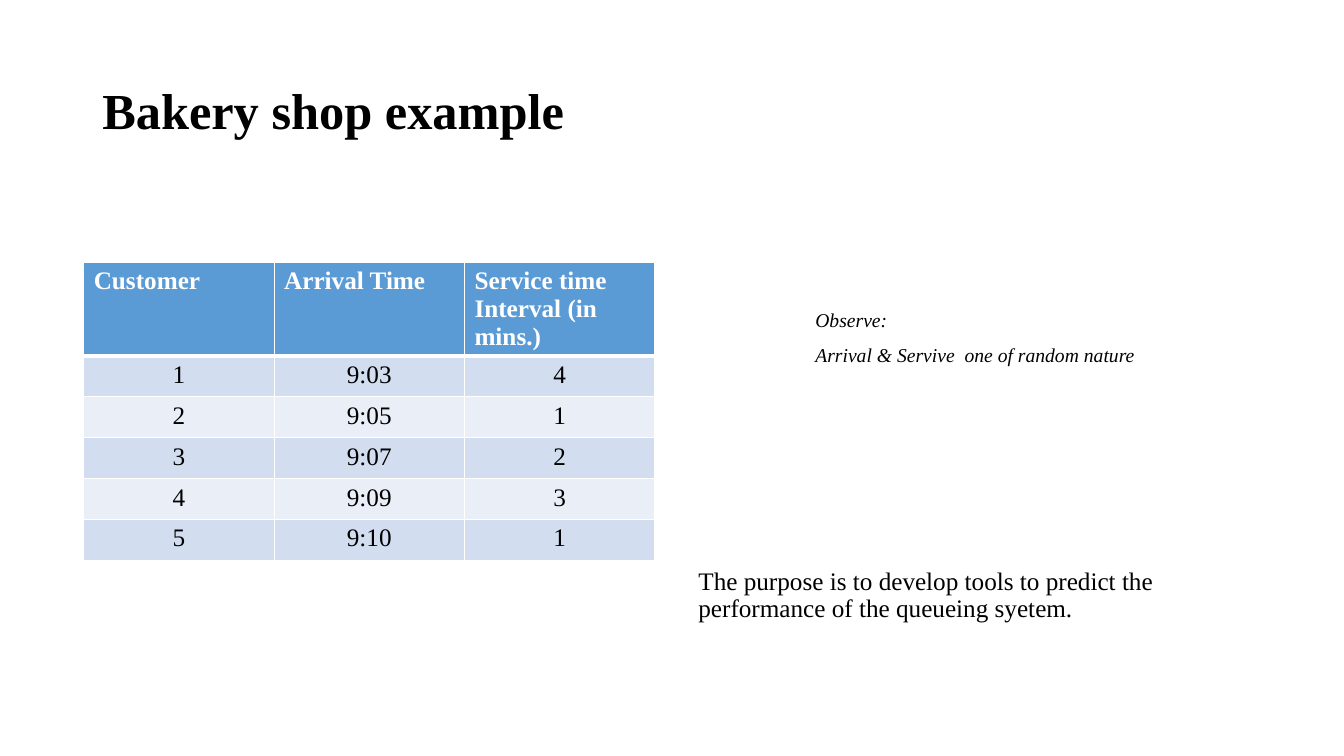
from dataclasses import dataclass

from lxml.etree import SubElement
from pptx import Presentation
from pptx.dml.color import RGBColor
from pptx.enum.text import MSO_ANCHOR, PP_ALIGN
from pptx.oxml.ns import qn
from pptx.slide import Slide
from pptx.table import _Cell
from pptx.text.text import _Paragraph
from pptx.util import Pt


@dataclass(frozen=True)
class Theme:
    font: str = "Times New Roman"
    text: str = "000000"
    white: str = "FFFFFF"
    header: str = "5B9BD5"
    bands: tuple[str, str] = ("D2DEEF", "EAEFF7")
    title_size: float = 36
    body_size: float = 18
    remark_size: float = 14
    thin_border: float = 1
    header_border: float = 3


@dataclass(frozen=True)
class TextBlock:
    paragraphs: tuple[str, ...]
    left: float
    top: float
    width: float
    height: float
    size: float
    bold: bool = False
    italic: bool = False
    anchor: MSO_ANCHOR = MSO_ANCHOR.TOP


THEME = Theme()

TEXT_BLOCKS = (
    TextBlock(("Bakery shop example",), 66, 28.8, 828, 104.4,
              THEME.title_size, bold=True, anchor=MSO_ANCHOR.MIDDLE),
    TextBlock(("Observe:", "Arrival & Servive  one of random nature"),
              575.3, 218.2, 252.7, 127.4, THEME.remark_size, italic=True),
    TextBlock(("The purpose is to develop tools to predict the "
               "performance of the queueing syetem.",),
              491.8, 402.5, 408.2, 127.4, THEME.body_size),
)

CUSTOMERS = (
    ("Customer", "Arrival Time", "Service time Interval (in mins.)"),
    ("1", "9:03", "4"),
    ("2", "9:05", "1"),
    ("3", "9:07", "2"),
    ("4", "9:09", "3"),
    ("5", "9:10", "1"),
)
TABLE_LEFT, TABLE_TOP = 59.8, 187.2
COLUMN_WIDTH, HEADER_HEIGHT, ROW_HEIGHT = 136, 66.4, 29.2


def style_paragraph(paragraph: _Paragraph, size: float, color: str,
                    bold: bool = False, italic: bool = False) -> None:
    for run in paragraph.runs:
        font = run.font
        font.name, font.size = THEME.font, Pt(size)
        font.bold, font.italic = bold, italic
        font.color.rgb = RGBColor.from_string(color)


def add_text(slide: Slide, block: TextBlock) -> None:
    box = slide.shapes.add_textbox(Pt(block.left), Pt(block.top),
                                   Pt(block.width), Pt(block.height))
    frame = box.text_frame
    frame.word_wrap = True
    frame.vertical_anchor = block.anchor
    frame.text = "\n".join(block.paragraphs)
    for index, paragraph in enumerate(frame.paragraphs):
        paragraph.line_spacing = 0.9
        if index:
            paragraph.space_before = Pt(10)
        style_paragraph(paragraph, block.size, THEME.text, block.bold, block.italic)


def set_borders(cell: _Cell, widths: dict[str, float]) -> None:
    """Draw white borders, placed before the fill as the schema requires."""
    properties = cell._tc.get_or_add_tcPr()
    for position, (side, width) in enumerate(widths.items()):
        line = SubElement(properties, qn(f"a:ln{side}"), w=str(Pt(width)))
        fill = SubElement(line, qn("a:solidFill"))
        SubElement(fill, qn("a:srgbClr"), val=THEME.white)
        properties.insert(position, line)


def style_cell(cell: _Cell, row: int) -> None:
    is_header = row == 0
    cell.fill.solid()
    color = THEME.header if is_header else THEME.bands[(row - 1) % 2]
    cell.fill.fore_color.rgb = RGBColor.from_string(color)
    paragraph = cell.text_frame.paragraphs[0]
    paragraph.alignment = PP_ALIGN.LEFT if is_header else PP_ALIGN.CENTER
    style_paragraph(paragraph, THEME.body_size,
                    THEME.white if is_header else THEME.text, bold=is_header)
    widths = dict.fromkeys("LRTB", THEME.thin_border)
    if is_header:
        widths["B"] = THEME.header_border
    elif row == 1:
        widths["T"] = THEME.header_border
    set_borders(cell, widths)


def add_customer_table(slide: Slide) -> None:
    rows, columns = len(CUSTOMERS), len(CUSTOMERS[0])
    height = HEADER_HEIGHT + (rows - 1) * ROW_HEIGHT
    table = slide.shapes.add_table(rows, columns, Pt(TABLE_LEFT), Pt(TABLE_TOP),
                                   Pt(columns * COLUMN_WIDTH), Pt(height)).table
    for column in table.columns:
        column.width = Pt(COLUMN_WIDTH)
    for row, values in enumerate(CUSTOMERS):
        table.rows[row].height = Pt(ROW_HEIGHT if row else HEADER_HEIGHT)
        for column, value in enumerate(values):
            cell = table.cell(row, column)
            cell.text_frame.text = value
            style_cell(cell, row)


def main() -> None:
    presentation = Presentation()
    presentation.slide_width, presentation.slide_height = Pt(960), Pt(540)
    slide = presentation.slides.add_slide(presentation.slide_layouts[6])
    add_customer_table(slide)
    for block in TEXT_BLOCKS:
        add_text(slide, block)
    presentation.save("out.pptx")


if __name__ == "__main__":
    main()
